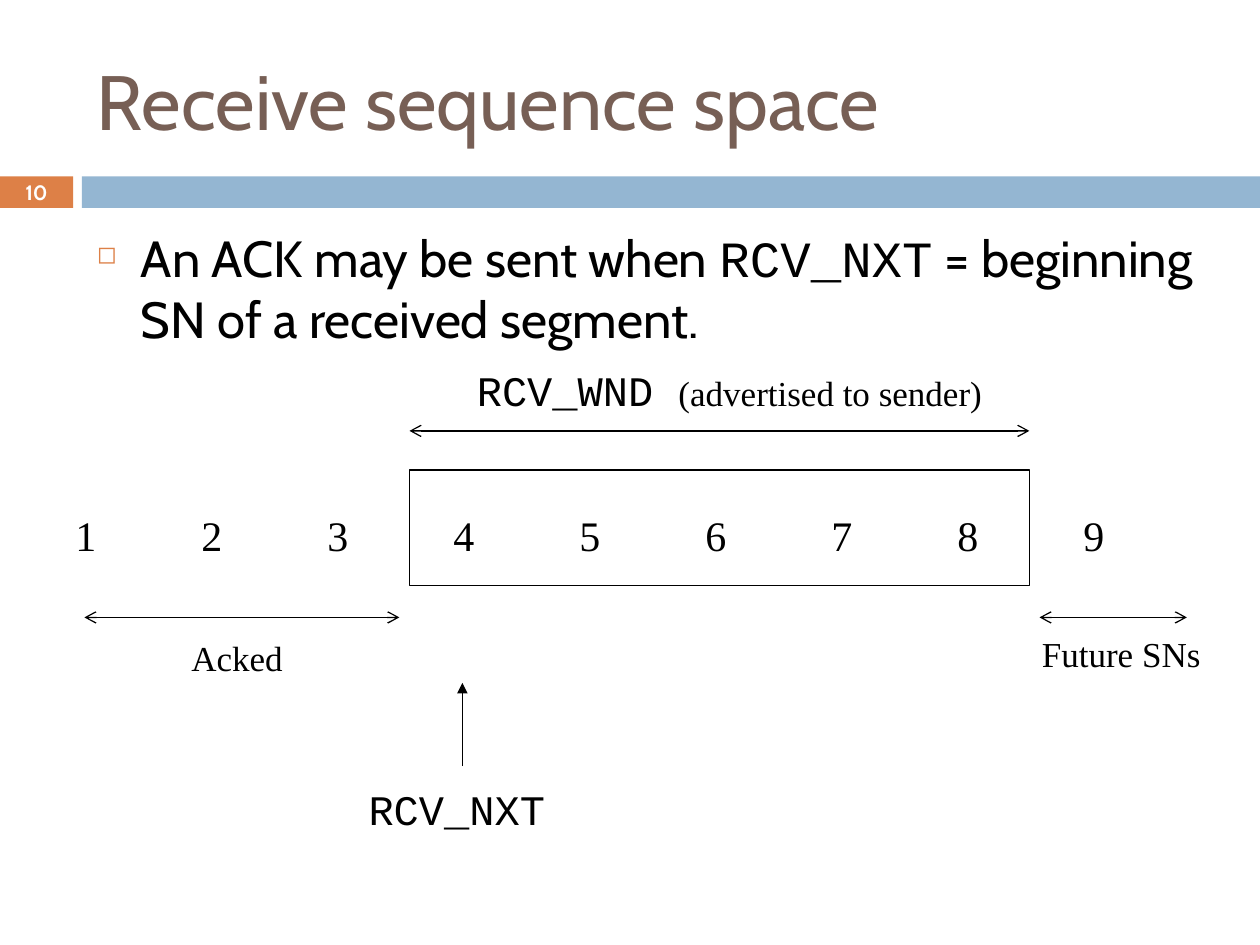
from lxml.etree import SubElement
from pptx import Presentation
from pptx.dml.color import RGBColor
from pptx.enum.shapes import MSO_CONNECTOR, MSO_SHAPE
from pptx.enum.text import MSO_ANCHOR, PP_ALIGN
from pptx.oxml.ns import qn
from pptx.util import Inches, Pt

HEADING_FONT = "Cabin"
CODE_FONT = "Courier New"
LABEL_FONT = "Times New Roman"
BLACK = "000000"
ORANGE = "DD8047"
BLUE = "94B6D2"
BROWN = "775F55"
WHITE = "FFFFFF"


def color(value):
    return RGBColor.from_string(value)


def add_text(slide, box, runs, size, *, fill=BLACK, bold=False,
             align=PP_ALIGN.LEFT, anchor=MSO_ANCHOR.MIDDLE):
    shape = slide.shapes.add_textbox(*map(Inches, box))
    frame = shape.text_frame
    frame.word_wrap = True
    frame.vertical_anchor = anchor
    paragraph = frame.paragraphs[0]
    paragraph.alignment = align
    for text, font_name, *run_size in runs:
        run = paragraph.add_run()
        run.text = text
        run.font.name = font_name
        run.font.size = Pt(run_size[0] if run_size else size)
        run.font.bold = bold
        run.font.color.rgb = color(fill)
    return paragraph


def add_bullet(paragraph, character, fill, percent, indent):
    properties = paragraph._p.get_or_add_pPr()
    properties.set("marL", str(Inches(indent)))
    properties.set("indent", str(-Inches(indent)))
    bullet_color = SubElement(properties, qn("a:buClr"))
    SubElement(bullet_color, qn("a:srgbClr"), val=fill)
    SubElement(properties, qn("a:buSzPct"), val=str(percent * 1000))
    SubElement(properties, qn("a:buChar"), char=character)


def add_tab_stops(paragraph, count, gap):
    tab_list = SubElement(paragraph._p.get_or_add_pPr(), qn("a:tabLst"))
    for index in range(1, count + 1):
        SubElement(tab_list, qn("a:tab"), pos=str(Inches(index * gap)), algn="l")


def add_rectangle(slide, box, *, fill=None, line=None):
    shape = slide.shapes.add_shape(MSO_SHAPE.RECTANGLE, *map(Inches, box))
    shape.shadow.inherit = False
    if fill:
        shape.fill.solid()
        shape.fill.fore_color.rgb = color(fill)
    else:
        shape.fill.background()
    if line:
        shape.line.color.rgb = color(line)
        shape.line.width = Pt(0.75)
    else:
        shape.line.fill.background()


def add_arrow(slide, start, end, *, head=None, tail="triangle"):
    connector = slide.shapes.add_connector(
        MSO_CONNECTOR.STRAIGHT, *map(Inches, start + end))
    connector.line.color.rgb = color(BLACK)
    connector.line.width = Pt(0.75)
    line = connector.line._get_or_add_ln()
    if head:
        SubElement(line, qn("a:headEnd"), type=head)
    SubElement(line, qn("a:tailEnd"), type=tail)
    SubElement(connector._element.spPr, qn("a:effectLst"))


def add_range(slide, left, right, top):
    add_arrow(slide, (left, top), (right, top), head="arrow", tail="arrow")


def add_header(slide):
    add_rectangle(slide, (0, 1.4, 0.58, 0.25), fill=ORANGE)
    add_rectangle(slide, (0.65, 1.4, 9.35, 0.25), fill=BLUE)
    add_text(slide, (0.67, 0.25, 8.92, 1.08),
             [("Receive sequence space", HEADING_FONT)], 44, fill=BROWN)
    add_text(slide, (0, 1.39, 0.58, 0.27), [("10", HEADING_FONT)], 11.9,
             fill=WHITE, bold=True, align=PP_ALIGN.CENTER)


def add_body(slide):
    paragraph = add_text(
        slide, (0.67, 1.75, 8.92, 4.92),
        [("An ACK may be sent when ", HEADING_FONT),
         ("RCV_NXT", CODE_FONT),
         (" = beginning SN of a received segment.", HEADING_FONT)],
        29, anchor=MSO_ANCHOR.TOP)
    paragraph.space_before = Pt(7)
    add_bullet(paragraph, "\u25fb", ORANGE, 48, 0.35)


def add_sequence_diagram(slide):
    window_left, window_right = 3.25, 8.17
    numbers = [str(number) for number in range(1, 10)]
    sequence = add_text(slide, (0.5, 3.99, 8.58, 0.5),
                        [("\t".join(numbers), LABEL_FONT)], 24)
    add_tab_stops(sequence, len(numbers) - 1, 1)
    add_rectangle(slide, (window_left, 3.73, window_right - window_left, 0.92),
                  line=BLACK)

    add_arrow(slide, (3.67, 6.08), (3.67, 5.42))
    add_text(slide, (2.75, 6.17, 1.75, 0.5), [("RCV_NXT", CODE_FONT)], 24,
             align=PP_ALIGN.CENTER)

    add_range(slide, window_left, window_right, 3.42)
    add_text(slide, (3, 2.84, 5.58, 0.5),
             [("RCV_WND ", CODE_FONT),
              ("(advertised to sender)", LABEL_FONT, 20)],
             24, align=PP_ALIGN.CENTER)

    add_range(slide, 0.67, 3.17, 4.9)
    add_range(slide, 8.25, 9.42, 4.9)
    add_text(slide, (1.42, 5, 1.17, 0.43), [("Acked", LABEL_FONT)], 20)
    add_text(slide, (8.17, 4.97, 1.58, 0.43), [("Future SNs", LABEL_FONT)], 20)


def main():
    presentation = Presentation()
    presentation.slide_width = Inches(10)
    presentation.slide_height = Inches(7.5)
    slide = presentation.slides.add_slide(presentation.slide_layouts[6])
    add_header(slide)
    add_body(slide)
    add_sequence_diagram(slide)
    presentation.save("out.pptx")


main()
